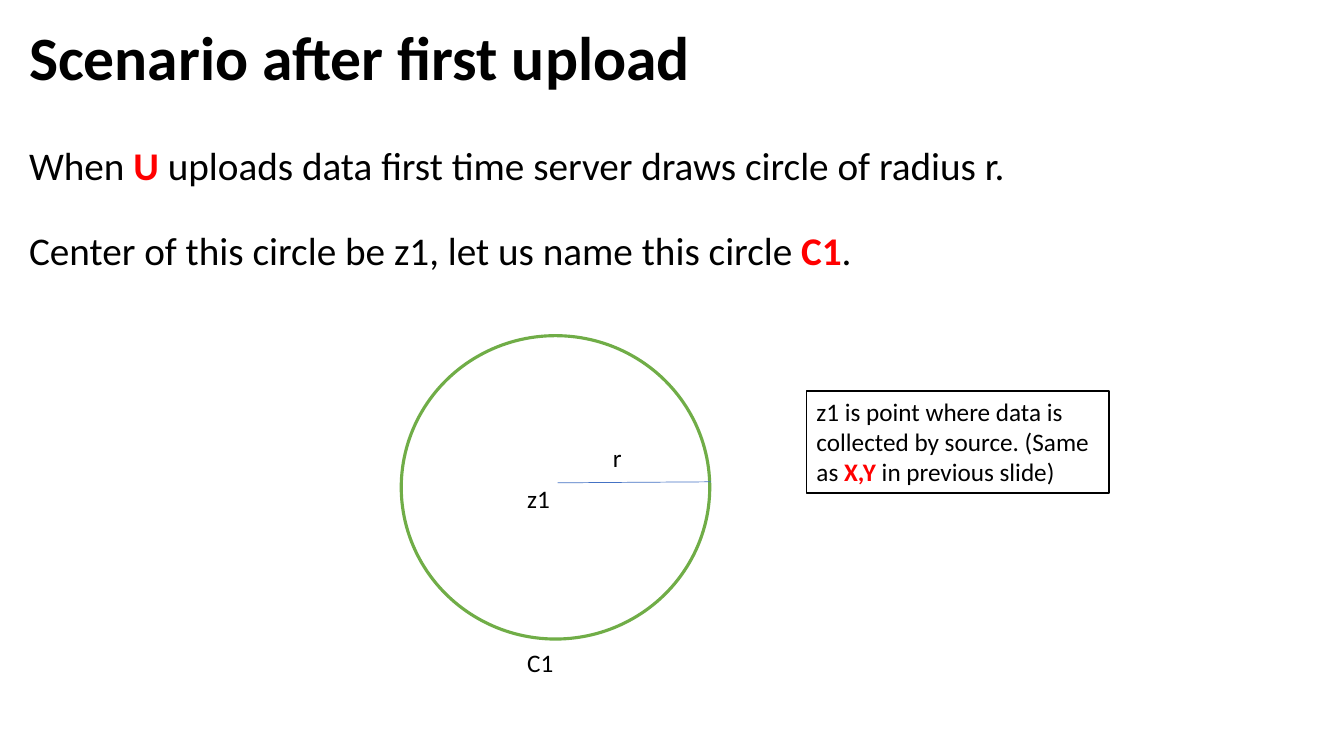
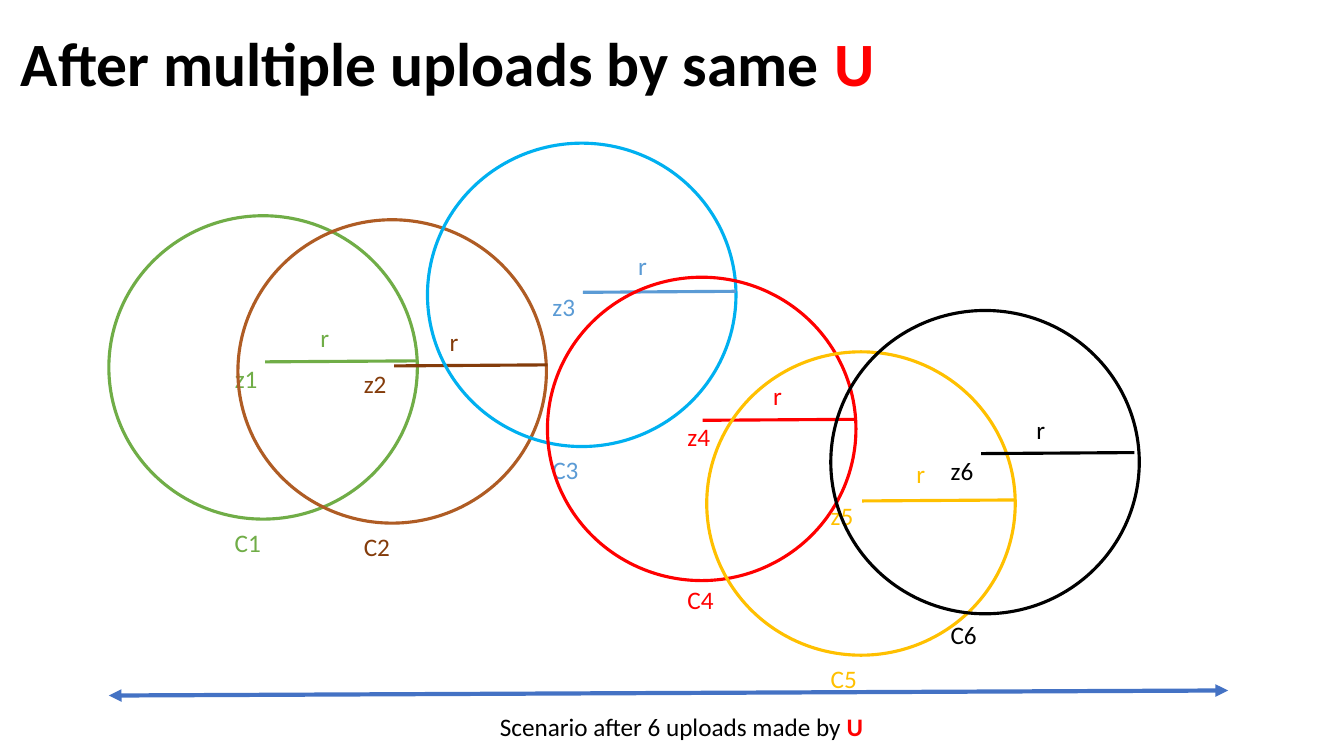
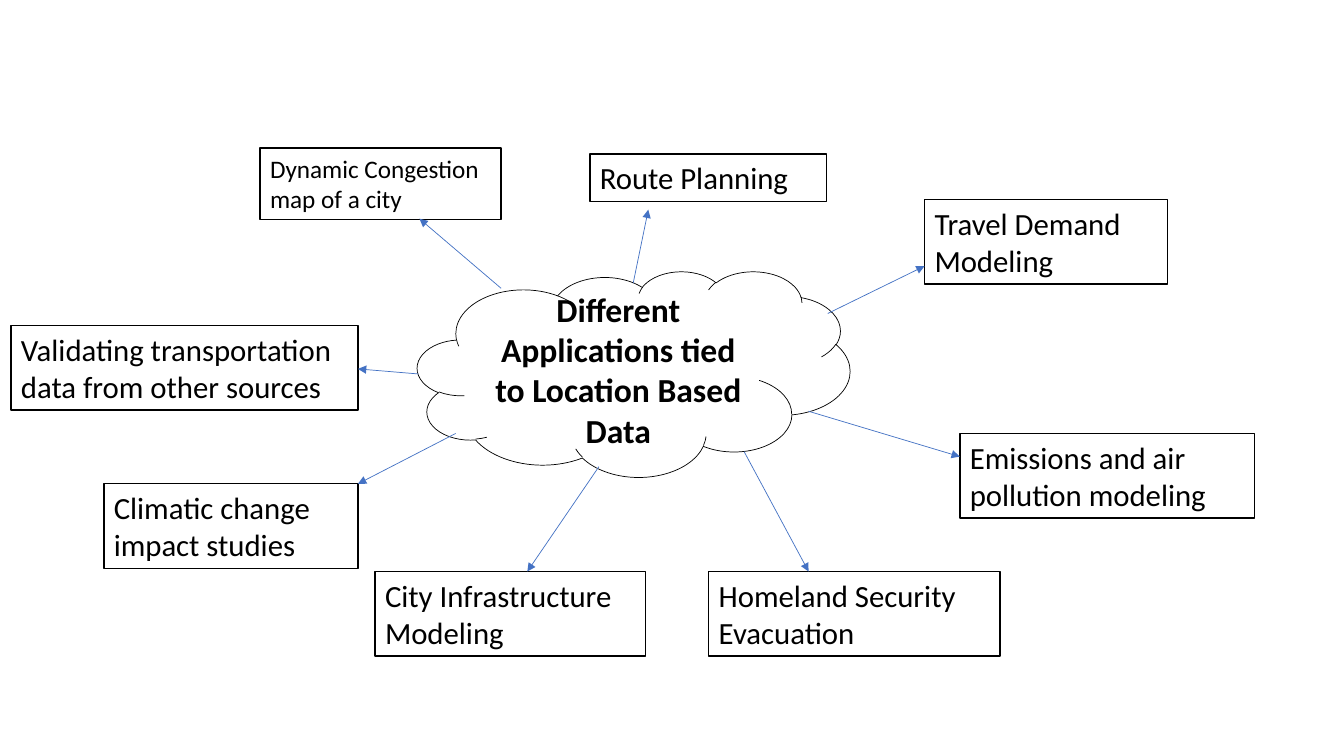
import pptx
import pptx.util
import pptx.dml.color
import pptx.enum.shapes
import pptx.enum.text
import pptx.oxml
import pptx.oxml.ns

PX = 9144
FONT = "Calibri"
BLACK, WHITE, RED, BLUE = "000000", "FFFFFF", "FF0000", "4472C4"
GREEN, BROWN, SKY, GOLD = "70AD47", "843C0B", "5B9BD5", "FFC000"
SHAPE = pptx.enum.shapes.MSO_SHAPE
ANCHOR = pptx.enum.text.MSO_ANCHOR
ALIGN = pptx.enum.text.PP_ALIGN
rgb = pptx.dml.color.RGBColor.from_string


def add_box(s, at, text="", size=18, color=BLACK, kind=None, fill=None, line=None,
            weight=1, bold=False, anchor=ANCHOR.TOP, align=ALIGN.LEFT, spacing=None):
    x, y, w, h = [v * PX for v in at]
    if kind is None:
        sp = s.shapes.add_textbox(x, y, w, h)
    else:
        sp = s.shapes.add_shape(kind, x, y, w, h)
        sp.shadow.inherit = False
        sp.line.color.rgb = rgb(line)
        sp.line.width = pptx.util.Pt(weight)
        if fill:
            sp.fill.solid()
            sp.fill.fore_color.rgb = rgb(fill)
        else:
            sp.fill.background()
    tf = sp.text_frame
    tf.word_wrap = True
    tf.vertical_anchor = anchor
    for i, content in enumerate(text.split("\n") if text else []):
        p = tf.add_paragraph() if i else tf.paragraphs[0]
        p.alignment = align
        p.line_spacing = spacing
        if i:
            p.space_before = pptx.util.Pt(10)
        p.font.name = FONT
        p.font.size = pptx.util.Pt(size)
        p.font.bold = bold
        p.font.color.rgb = rgb(color)
        for j, part in enumerate(content.split("*")):
            if part:
                r = p.add_run()
                r.text = part
                if j % 2:
                    r.font.bold = True
                    r.font.color.rgb = rgb(RED)


def add_line(s, ends, color, weight, arrows=()):
    c = s.shapes.add_connector(pptx.enum.shapes.MSO_CONNECTOR.STRAIGHT, *[v * PX for v in ends])
    c.line.color.rgb = rgb(color)
    c.line.width = pptx.util.Pt(weight)
    ln = c.line._get_or_add_ln()
    for end in arrows:
        ln.append(pptx.oxml.parse_xml(f'<a:{end} {pptx.oxml.ns.nsdecls("a")} type="triangle"/>'))
    ln.addnext(pptx.oxml.parse_xml(f'<a:effectLst {pptx.oxml.ns.nsdecls("a")}/>'))


prs = pptx.Presentation()
prs.slide_width = 1333 * PX
prs.slide_height = 750 * PX
first, multiple, applications = [prs.slides.add_slide(prs.slide_layouts[6]) for _ in range(3)]

for s, at, title in [
    (first, (19, 11, 1150, 98), "Scenario after first upload"),
    (multiple, (11, 6, 1150, 120), "After multiple uploads by same *U*"),
]:
    add_box(s, at, title, 44, bold=True, anchor=ANCHOR.MIDDLE, spacing=0.9)

add_box(first, (19, 112, 1274, 598),
        "When *U *uploads data first time server draws circle of radius r.\n"
        "Center of this circle be z1, let us name this circle *C1*.", 28, spacing=1.5)

for s, n, x, y, radius_at, label_at, ring, radius, label, weight in [
    (first, 1, 398, 333, (155, 146), (115, 142), GREEN, BLUE, BLACK, 0.5),
    (multiple, 1, 108, 214, (155, 145), (115, 142), GREEN, GREEN, GREEN, 2.25),
    (multiple, 2, 236, 218, (155, 145), (115, 142), "AF5C24", BROWN, BROWN, 2.25),
    (multiple, 3, 424, 142, (154, 148), (114, 142), "00B0F0", SKY, SKY, 2.25),
    (multiple, 4, 543, 275, (154, 142), (129, 138), RED, RED, RED, 2.25),
    (multiple, 5, 701, 349, (154, 148), (113, 142), GOLD, GOLD, GOLD, 2.25),
    (multiple, 6, 824, 308, (149, 142), (109, 139), BLACK, BLACK, BLACK, 2.25),
]:
    add_box(s, (x, y, 306, 301), kind=SHAPE.OVAL, line=ring, weight=2.25,
            fill=WHITE if n == 1 else None)
    rx, ry = x + radius_at[0], y + radius_at[1]
    add_line(s, (rx, ry, rx + 152, ry - 1), radius, weight)
    lx, ly = x + label_at[0], y + label_at[1]
    add_box(s, (lx, ly, 62, 40), f"z{n}", color=label)
    add_box(s, (lx + 85, ly - 41, 39, 40), "r", color=label)
    add_box(s, (lx, ly + 162, 84, 40), f"C{n}", color=label)

add_box(first, (800, 388, 300, 101),
        "z1 is point where data is collected by source. (Same as *X,Y* in previous slide)",
        kind=SHAPE.RECTANGLE, fill=WHITE, line=BLACK)

add_line(multiple, (108, 690, 1218, 685), BLUE, 3, ("headEnd", "tailEnd"))
add_box(multiple, (486, 701, 675, 40), "Scenario after 6 uploads made by *U*")

add_box(applications, (414, 269, 429, 204), "Different Applications tied to Location Based Data",
        24, kind=SHAPE.CLOUD, fill=WHITE, line=BLACK, weight=0.5, bold=True,
        anchor=ANCHOR.MIDDLE, align=ALIGN.CENTER)
for text, size, at, arrow in [
    ("Dynamic Congestion map of a city", 18, (258, 147, 239, 71), (497, 286, 416, 217)),
    ("Route Planning", 22, (585, 153, 235, 47), (628, 281, 643, 208)),
    ("Travel Demand Modeling", 22, (917, 198, 241, 84), (821, 311, 917, 264)),
    ("Emissions and air pollution modeling", 22, (952, 430, 292, 84), (802, 408, 952, 453)),
    ("Homeland Security Evacuation", 22, (703, 567, 289, 84), (738, 448, 802, 567)),
    ("City Infrastructure Modeling", 22, (372, 567, 268, 84), (594, 463, 523, 567)),
    ("Climatic change impact studies", 22, (103, 480, 252, 84), (452, 430, 355, 480)),
    ("Validating transportation data from other sources", 22, (11, 323, 344, 84), (415, 371, 355, 366)),
]:
    add_box(applications, at, text, size, kind=SHAPE.RECTANGLE, fill=WHITE, line=BLACK)
    add_line(applications, arrow, BLUE, 0.5, ("tailEnd",))

prs.save("out.pptx")
